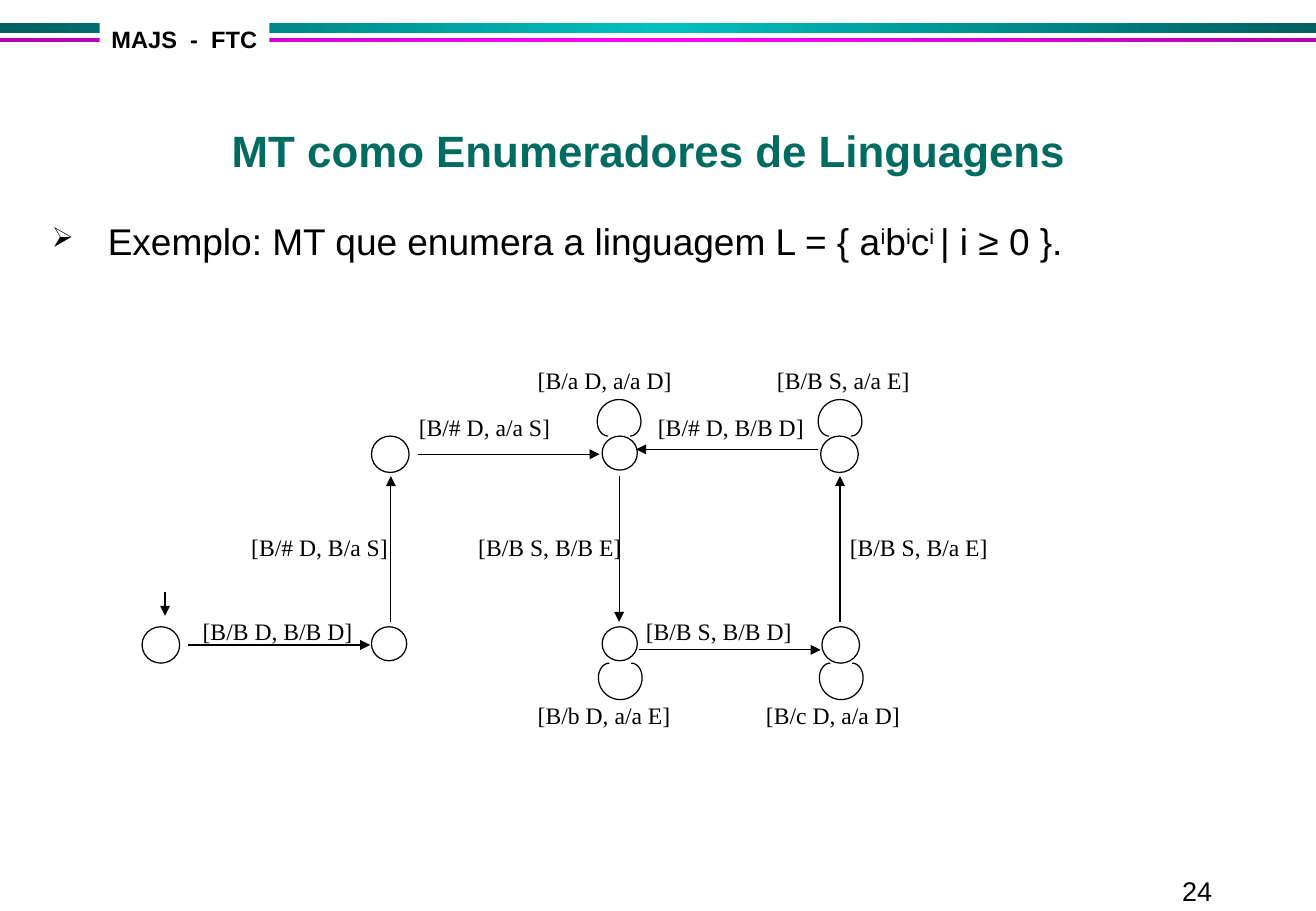
import math
from copy import deepcopy

from lxml import etree
from pptx import Presentation
from pptx import util as u
from pptx.dml.color import RGBColor
from pptx.enum import shapes, text
from pptx.oxml.ns import qn

COLORS = {
    "ink": "000000", "paper": "FFFFFF", "title": "006B61",
    "teal_dark": "005F5F", "teal": "00C0C0",
    "magenta_dark": "B100B1", "magenta": "FF00FF",
}
LINE_WIDTH = u.Pt(0.74)
TOP_ROW, BOTTOM_ROW = 3.59, 5.16
LARGE, SMALL = (0.31, 0.3), (0.29, 0.28)

# left, top, (width, height)
STATES = [
    (1.17, BOTTOM_ROW, LARGE), (3.06, BOTTOM_ROW, SMALL),
    (4.96, BOTTOM_ROW, SMALL), (6.77, BOTTOM_ROW, LARGE),
    (3.06, TOP_ROW, LARGE), (4.96, TOP_ROW, SMALL), (6.76, TOP_ROW, LARGE),
]
# start x, start y, end x, end y
ARROWS = [
    (1.36, 4.87, 1.36, 5.07),
    (1.55, 5.31, 3.05, 5.31), (3.22, 5.12, 3.22, 3.92),
    (3.44, 3.74, 4.94, 3.74), (5.1, 3.92, 5.1, 5.12),
    (5.26, 5.35, 6.76, 5.35), (6.92, 5.12, 6.92, 3.92),
    (6.74, 3.7, 5.24, 3.7),
]
# centre x, y of the widest point, direction (-1 up, 1 down)
LOOPS = [(5.1, 3.47, -1), (6.92, 3.47, -1), (5.11, 5.58, 1), (6.93, 5.58, 1)]
# left, top, transition
LABELS = [
    (1.66, 5.07, "[B/B D, B/B D]"), (2.06, 4.38, "[B/# D, B/a S]"),
    (3.44, 3.39, "[B/# D, a/a S]"), (3.93, 4.38, "[B/B S, B/B E]"),
    (5.31, 5.07, "[B/B S, B/B D]"), (6.99, 4.38, "[B/B S, B/a E]"),
    (5.41, 3.39, "[B/# D, B/B D]"), (4.42, 3, "[B/a D, a/a D]"),
    (4.42, 5.76, "[B/b D, a/a E]"), (6.3, 5.76, "[B/c D, a/a D]"),
    (6.39, 3, "[B/B S, a/a E]"),
]
EXAMPLE = [
    ("Exemplo: MT que enumera a linguagem L = { a", False), ("i", True),
    ("b", False), ("i", True), ("c", False), ("i ", True),
    ("| i ≥ 0 }.", False),
]


def rgb(name):
    """Return the named colour."""
    return RGBColor.from_string(COLORS[name])


def inches(*lengths):
    """Convert several lengths to Inches."""
    return [u.Inches(length) for length in lengths]


def format_span(span, size, font="Arial", color="ink", bold=False):
    """Set the font of one run."""
    span.font.size = u.Pt(size)
    span.font.name = font
    span.font.bold = bold
    span.font.color.rgb = rgb(color)


def set_insets(frame, side, end):
    """Set the horizontal and vertical margins of a text frame."""
    frame.margin_left = frame.margin_right = u.Inches(side)
    frame.margin_top = frame.margin_bottom = u.Inches(end)


def add_text(page, place, words, size, font="Arial", bold=False,
             insets=(0.1, 0.05)):
    """Add a text box with one line of text."""
    box = page.shapes.add_textbox(*inches(*place))
    frame = box.text_frame
    frame.word_wrap = True
    set_insets(frame, *insets)
    frame.text = words
    format_span(frame.paragraphs[0].runs[0], size, font, bold=bold)
    return box


def add_band(page, top, height, edge, middle):
    """Add a header band that is brightest in its middle."""
    band = page.shapes.add_shape(
        shapes.MSO_SHAPE.RECTANGLE, *inches(0, top, 10.84, height))
    band.shadow.inherit = False
    band.line.fill.background()
    band.fill.gradient()
    band.fill.gradient_angle = 0
    stop_list = band._element.spPr.find(".//" + qn("a:gsLst"))
    stop_list.append(deepcopy(stop_list[0]))
    stops = zip(band.fill.gradient_stops, (0, 0.5, 1), (edge, middle, edge))
    for stop, position, color in stops:
        stop.position = position
        stop.color.rgb = rgb(color)


def set_title(page, words):
    """Place and format the title placeholder."""
    title = page.shapes.title
    title.left, title.top, title.width, title.height = inches(
        0.74, 0.81, 9.21, 0.69)
    frame = title.text_frame
    frame.text = words
    frame.word_wrap = True
    frame.auto_size = text.MSO_AUTO_SIZE.NONE
    frame.vertical_anchor = text.MSO_ANCHOR.BOTTOM
    set_insets(frame, 0.1, 0.05)
    para = frame.paragraphs[0]
    para.alignment = text.PP_ALIGN.CENTER
    format_span(para.runs[0], 26, color="title", bold=True)


def add_example(page):
    """Add the bulleted sentence with its superscripts."""
    box = page.shapes.add_textbox(*inches(0.33, 1.75, 10.17, 0.6))
    frame = box.text_frame
    frame.word_wrap = True
    set_insets(frame, 0.1, 0.05)
    para = frame.paragraphs[0]
    para.alignment = text.PP_ALIGN.JUSTIFY
    para.space_before = u.Pt(5.5)
    props = para._p.get_or_add_pPr()
    props.set("marL", str(u.Inches(0.46)))
    props.set("indent", str(-u.Inches(0.46)))
    etree.SubElement(props, qn("a:buSzPct")).set("val", "75000")
    etree.SubElement(props, qn("a:buChar")).set("char", "➢")
    for words, raised in EXAMPLE:
        span = para.add_run()
        span.text = words
        format_span(span, 22)
        if raised:
            span._r.get_or_add_rPr().set("baseline", "30000")


def outline(shape):
    """Give a shape a thin black outline and no fill."""
    shape.shadow.inherit = False
    shape.fill.background()
    shape.line.color.rgb = rgb("ink")
    shape.line.width = LINE_WIDTH


def add_state(page, left, top, size):
    """Add one state of the machine."""
    outline(page.shapes.add_shape(
        shapes.MSO_SHAPE.OVAL, *inches(left, top, *size)))


def add_arrow(page, *ends):
    """Add an arrow from its start to its end point."""
    arrow = page.shapes.add_connector(
        shapes.MSO_CONNECTOR.STRAIGHT, *inches(*ends))
    arrow.line.color.rgb = rgb("ink")
    arrow.line.width = LINE_WIDTH
    etree.SubElement(arrow.line._get_or_add_ln(),
                     qn("a:tailEnd")).set("type", "triangle")
    etree.SubElement(arrow._element.spPr, qn("a:effectLst"))


def add_loop(page, center, middle, direction):
    """Add an open self-loop: a half circle with two inward hooks."""
    half = []
    for degrees in range(-90, 91, 5):
        angle = math.radians(degrees)
        hook = degrees < 0
        x = 0.09 + 0.09 * math.cos(angle) if hook else 0.18 * math.cos(angle)
        y = (0.12 if hook else 0.18) * math.sin(angle)
        half.append((x, middle + direction * y))
    points = [(center - x, y) for x, y in half]
    points += [(center + x, y) for x, y in reversed(half)]
    points = [inches(*point) for point in points]
    builder = page.shapes.build_freeform(*points[0])
    builder.add_line_segments(points[1:], close=False)
    outline(builder.convert_to_shape())


def main():
    """Build the slide and save it."""
    deck = Presentation()
    deck.slide_width, deck.slide_height = inches(10.84, 7.5)
    page = deck.slides.add_slide(deck.slide_layouts[5])
    add_band(page, 0.19, 0.08, "teal_dark", "teal")
    add_band(page, 0.31, 0.04, "magenta_dark", "magenta")
    course = add_text(page, (0.82, 0.16, 1.4, 0.33), "MAJS  -  FTC", 14,
                      bold=True)
    course.text_frame.word_wrap = False
    course.fill.solid()
    course.fill.fore_color.rgb = rgb("paper")
    set_title(page, "MT como Enumeradores de Linguagens")
    add_example(page)
    for state in STATES:
        add_state(page, *state)
    for arrow in ARROWS:
        add_arrow(page, *arrow)
    for loop in LOOPS:
        add_loop(page, *loop)
    for left, top, words in LABELS:
        add_text(page, (left, top, 1.5, 0.3), words, 14, "Times New Roman",
                 insets=(0.01, 0.01))
    add_text(page, (9.64, 7.15, 1.2, 0.35), "24", 16)
    deck.save("out.pptx")


main()
